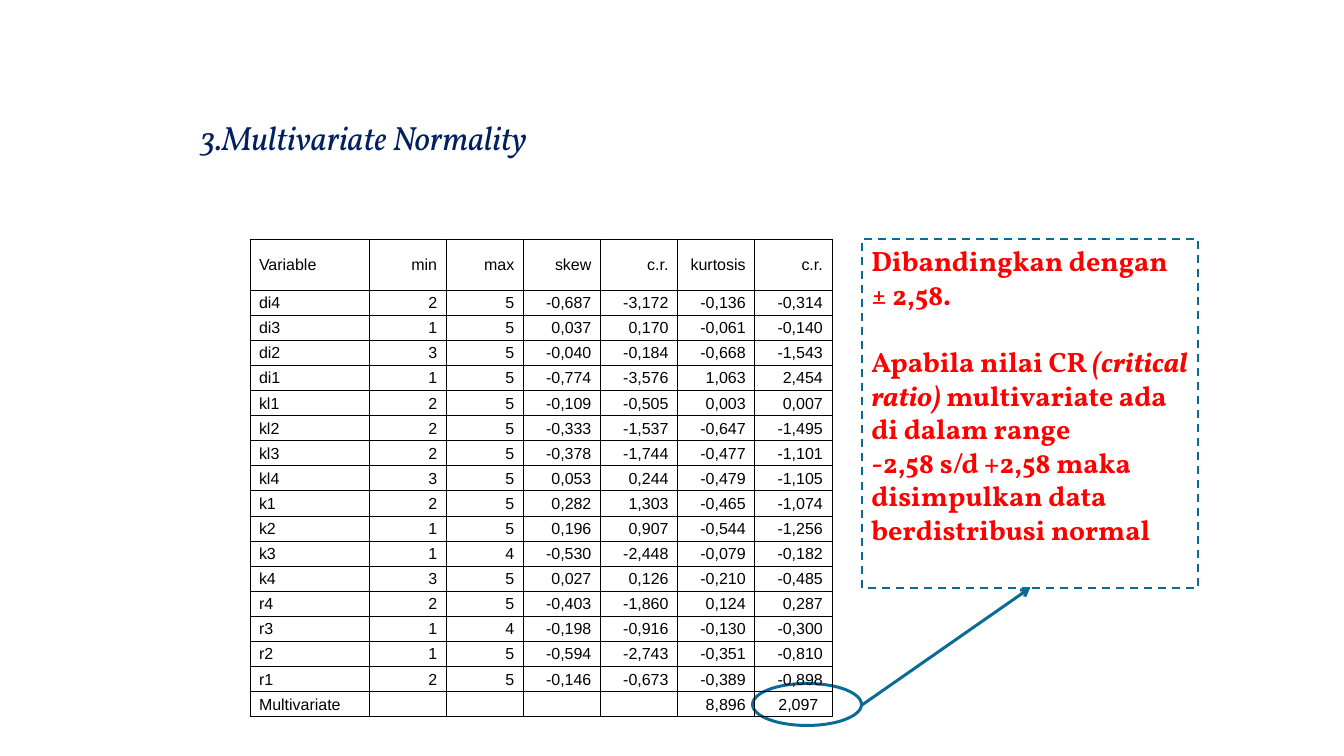
import dataclasses

import lxml.etree
import pptx
import pptx.dml.color
import pptx.enum.dml
import pptx.enum.shapes
import pptx.enum.text
import pptx.oxml.ns
import pptx.util


@dataclasses.dataclass
class Theme:
    navy: str = "002060"
    teal: str = "0A6B94"
    red: str = "FF0000"
    black: str = "000000"
    serif: str = "Vollkorn"
    sans: str = "Arial"
    head: float = 25.2
    note: float = 21
    cell: float = 12


theme = Theme()
px = 9525  # EMU per pixel
qn = pptx.oxml.ns.qn
rgb = pptx.dml.color.RGBColor.from_string


def add_run(para, text, font, size, color, bold=False, ital=False):
    run = para.add_run()
    run.text = text
    run.font.name = font
    run.font.size = pptx.util.Pt(size)
    run.font.color.rgb = rgb(color)
    run.font.bold = bold
    run.font.italic = ital


def set_line(line, width):
    line.color.rgb = rgb(theme.teal)
    line.width = pptx.util.Pt(width)


deck = pptx.Presentation()
deck.slide_width = 1344 * px
deck.slide_height = 756 * px
slide = deck.slides.add_slide(deck.slide_layouts[5])
shapes = slide.shapes

# Title, numbered from 3
title = shapes.title
title.left, title.top, title.width, title.height = (n * px for n in (190, 112, 932, 51))
frame = title.text_frame
frame.word_wrap = True
frame.vertical_anchor = pptx.enum.text.MSO_ANCHOR.TOP
para = frame.paragraphs[0]
para.alignment = pptx.enum.text.PP_ALIGN.LEFT
add_run(para, "Multivariate Normality", theme.serif, theme.head, theme.navy, ital=True)
props = para._p.get_or_add_pPr()
props.set("marL", "0")
props.set("indent", "0")
lxml.etree.SubElement(props, qn("a:buAutoNum"), type="arabicPeriod", startAt="3")

# Ring around the multivariate critical ratio
ring = shapes.add_shape(pptx.enum.shapes.MSO_SHAPE.OVAL, 786 * px, 650 * px, 42 * px, 109 * px)
ring.rotation = 90
ring.shadow.inherit = False
ring.fill.background()
set_line(ring.line, 2.25)

# Note in a dashed box
note = shapes.add_shape(pptx.enum.shapes.MSO_SHAPE.RECTANGLE, 862 * px, 239 * px, 336 * px, 349 * px)
note.shadow.inherit = False
note.fill.background()
set_line(note.line, 1.5)
note.line.dash_style = pptx.enum.dml.MSO_LINE.DASH
frame = note.text_frame
frame.word_wrap = True
frame.vertical_anchor = pptx.enum.text.MSO_ANCHOR.TOP
words = [
    [("Dibandingkan dengan", False)],
    [("± 2,58.", False)],
    [("Apabila nilai CR ", False), ("(critical ratio) ", True),
     ("multivariate ada di dalam range", False)],
    [("-2,58 s/d +2,58 maka disimpulkan data berdistribusi normal", False)],
]
for i, parts in enumerate(words):
    para = frame.paragraphs[0] if i == 0 else frame.add_paragraph()
    para.alignment = pptx.enum.text.PP_ALIGN.LEFT
    if i == 2:
        para.space_before = pptx.util.Pt(theme.note * 1.2)
    for text, ital in parts:
        add_run(para, text, theme.serif, theme.note, theme.red, bold=True, ital=ital)

# Arrow from the ring to the note
arrow = shapes.add_connector(
    pptx.enum.shapes.MSO_CONNECTOR.STRAIGHT, 1030 * px, 588 * px, 862 * px, 705 * px)
set_line(arrow.line, 2.25)
lxml.etree.SubElement(arrow.line._get_or_add_ln(), qn("a:headEnd"), type="arrow")
lxml.etree.SubElement(arrow._element.spPr, qn("a:effectLst"))

# Normality table
data = """Variable|min|max|skew|c.r.|kurtosis|c.r.
di4|2|5|-0,687|-3,172|-0,136|-0,314
di3|1|5|0,037|0,170|-0,061|-0,140
di2|3|5|-0,040|-0,184|-0,668|-1,543
di1|1|5|-0,774|-3,576|1,063|2,454
kl1|2|5|-0,109|-0,505|0,003|0,007
kl2|2|5|-0,333|-1,537|-0,647|-1,495
kl3|2|5|-0,378|-1,744|-0,477|-1,101
kl4|3|5|0,053|0,244|-0,479|-1,105
k1|2|5|0,282|1,303|-0,465|-1,074
k2|1|5|0,196|0,907|-0,544|-1,256
k3|1|4|-0,530|-2,448|-0,079|-0,182
k4|3|5|0,027|0,126|-0,210|-0,485
r4|2|5|-0,403|-1,860|0,124|0,287
r3|1|4|-0,198|-0,916|-0,130|-0,300
r2|1|5|-0,594|-2,743|-0,351|-0,810
r1|2|5|-0,146|-0,673|-0,389|-0,898
Multivariate|||||8,896|2,097 """
rows = [row.split("|") for row in data.split("\n")]
grid = shapes.add_table(len(rows), 7, 250 * px, 239 * px, 582 * px, 478 * px).table
grid.first_row = grid.horz_banding = False
for i, col in enumerate(grid.columns):
    col.width = 119 * px if i == 0 else 463 * px // 6
for i, row in enumerate(grid.rows):
    row.height = 51 * px if i == 0 else 427 * px // 17

for i, row in enumerate(rows):
    for j, text in enumerate(row):
        cell = grid.cell(i, j)
        cell.vertical_anchor = pptx.enum.text.MSO_ANCHOR.MIDDLE
        cell.margin_left = (1 if j else 9) * px
        cell.margin_right = (9 if j else 1) * px
        cell.margin_top, cell.margin_bottom = px, 0
        para = cell.text_frame.paragraphs[0]
        if j:
            para.alignment = pptx.enum.text.PP_ALIGN.RIGHT
        if text:
            add_run(para, text, theme.sans, theme.cell, theme.black)
        else:
            lxml.etree.SubElement(para._p, qn("a:endParaRPr"), sz=str(theme.cell * 100))
        # Thin border on all four sides
        props = cell._tc.get_or_add_tcPr()
        for side in ("lnL", "lnR", "lnT", "lnB"):
            edge = lxml.etree.SubElement(props, qn("a:" + side), w="6350")
            fill = lxml.etree.SubElement(edge, qn("a:solidFill"))
            lxml.etree.SubElement(fill, qn("a:srgbClr"), val=theme.black)
        cell.fill.background()

deck.save("out.pptx")
